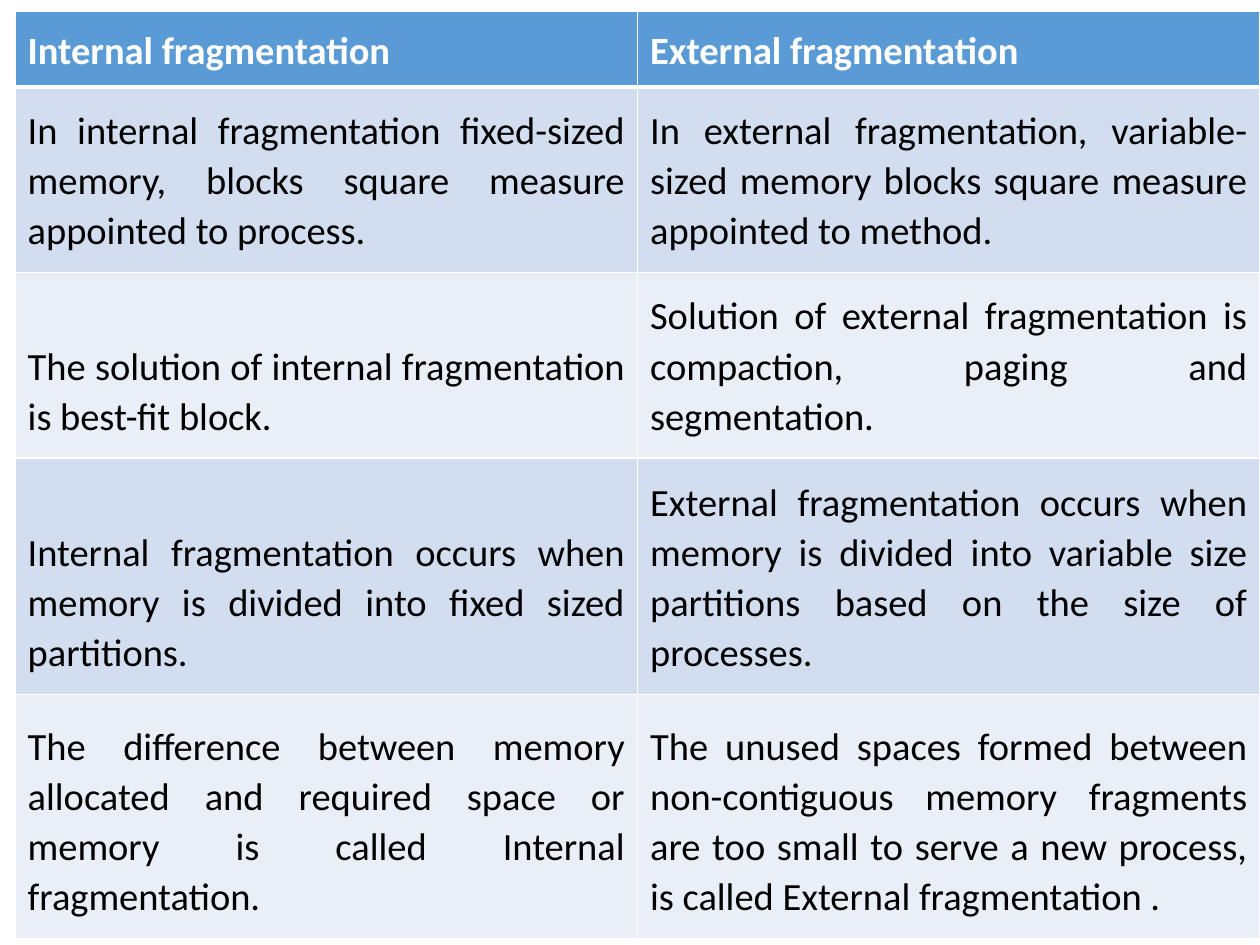
from typing import NamedTuple

from lxml.etree import SubElement
from pptx import Presentation
from pptx.dml.color import RGBColor
from pptx.enum.text import MSO_ANCHOR, PP_ALIGN
from pptx.oxml.ns import qn
from pptx.table import _Cell as Cell
from pptx.util import Pt

WHITE = RGBColor(0xFF, 0xFF, 0xFF)
BLACK = RGBColor(0x00, 0x00, 0x00)
HEADER_BLUE = RGBColor(0x5B, 0x9B, 0xD5)
BAND_DARK = RGBColor(0xD2, 0xDE, 0xEF)
BAND_LIGHT = RGBColor(0xEA, 0xEF, 0xF7)

FONT = "Calibri"
TABLE_LEFT, TABLE_TOP = Pt(8.64), Pt(6.6)
COLUMN_WIDTH = Pt(355.68)
SIDE_MARGIN = Pt(7.2)
THIN, THICK = Pt(1), Pt(3)


class ComparisonRow(NamedTuple):
    internal: str
    external: str
    height: float


ROWS = [
    ComparisonRow("Internal fragmentation", "External fragmentation", 42),
    ComparisonRow(
        "In internal fragmentation fixed-sized memory, blocks square measure appointed to process.",
        "In external fragmentation, variable-sized memory blocks square measure appointed to method.",
        106,
    ),
    ComparisonRow(
        "The solution of internal fragmentation is best-fit block.",
        "Solution of external fragmentation is compaction, paging and segmentation.",
        106,
    ),
    ComparisonRow(
        "Internal fragmentation occurs when memory is divided into fixed sized partitions.",
        "External fragmentation occurs when memory is divided into variable size partitions "
        "based on the size of processes.",
        135,
    ),
    ComparisonRow(
        "The difference between memory allocated and required space or memory is called "
        "Internal fragmentation.",
        "The unused spaces formed between non-contiguous memory fragments are too small "
        "to serve a new process, is called External fragmentation .",
        139.5,
    ),
]


def write_text(cell: Cell, text: str, *, size: float = 22,
               color: RGBColor = BLACK, bold: bool = False) -> None:
    paragraph = cell.text_frame.paragraphs[0]
    paragraph.alignment = PP_ALIGN.JUSTIFY
    paragraph.line_spacing = 1.07
    paragraph.space_after = Pt(8)
    run = paragraph.add_run()
    run.text = text
    font = run.font
    font.name, font.size, font.bold = FONT, Pt(size), bold
    font.color.rgb = color


def add_borders(cell: Cell, *, top: int = THIN, bottom: int = THIN) -> None:
    properties = cell._tc.get_or_add_tcPr()
    widths = {"a:lnL": THIN, "a:lnR": THIN, "a:lnT": top, "a:lnB": bottom}
    for tag, width in widths.items():
        line = SubElement(properties, qn(tag), w=str(int(width)))
        fill = SubElement(line, qn("a:solidFill"))
        SubElement(fill, qn("a:srgbClr"), val=str(WHITE))


def format_cell(cell: Cell, fill: RGBColor, vertical_margin: float) -> None:
    cell.vertical_anchor = MSO_ANCHOR.BOTTOM
    cell.margin_left = cell.margin_right = SIDE_MARGIN
    cell.margin_top = cell.margin_bottom = Pt(vertical_margin)
    cell.fill.solid()
    cell.fill.fore_color.rgb = fill


def main() -> None:
    presentation = Presentation()
    presentation.slide_width, presentation.slide_height = Pt(720), Pt(540)
    slide = presentation.slides.add_slide(presentation.slide_layouts[6])

    # Comparison table
    total_height = Pt(sum(row.height for row in ROWS))
    table = slide.shapes.add_table(
        len(ROWS), 2, TABLE_LEFT, TABLE_TOP, 2 * COLUMN_WIDTH, total_height
    ).table
    for column in table.columns:
        column.width = COLUMN_WIDTH

    # Header row, then alternating bands
    for index, row in enumerate(ROWS):
        table.rows[index].height = Pt(row.height)
        is_header = index == 0
        band = BAND_DARK if index % 2 else BAND_LIGHT
        for column_index, text in enumerate((row.internal, row.external)):
            cell = table.cell(index, column_index)
            add_borders(cell, top=THICK if index == 1 else THIN,
                        bottom=THICK if is_header else THIN)
            format_cell(cell, HEADER_BLUE if is_header else band,
                        7.2 if is_header else 10.08)
            write_text(cell, text, color=WHITE if is_header else BLACK, bold=is_header)

    presentation.save("out.pptx")


if __name__ == "__main__":
    main()
